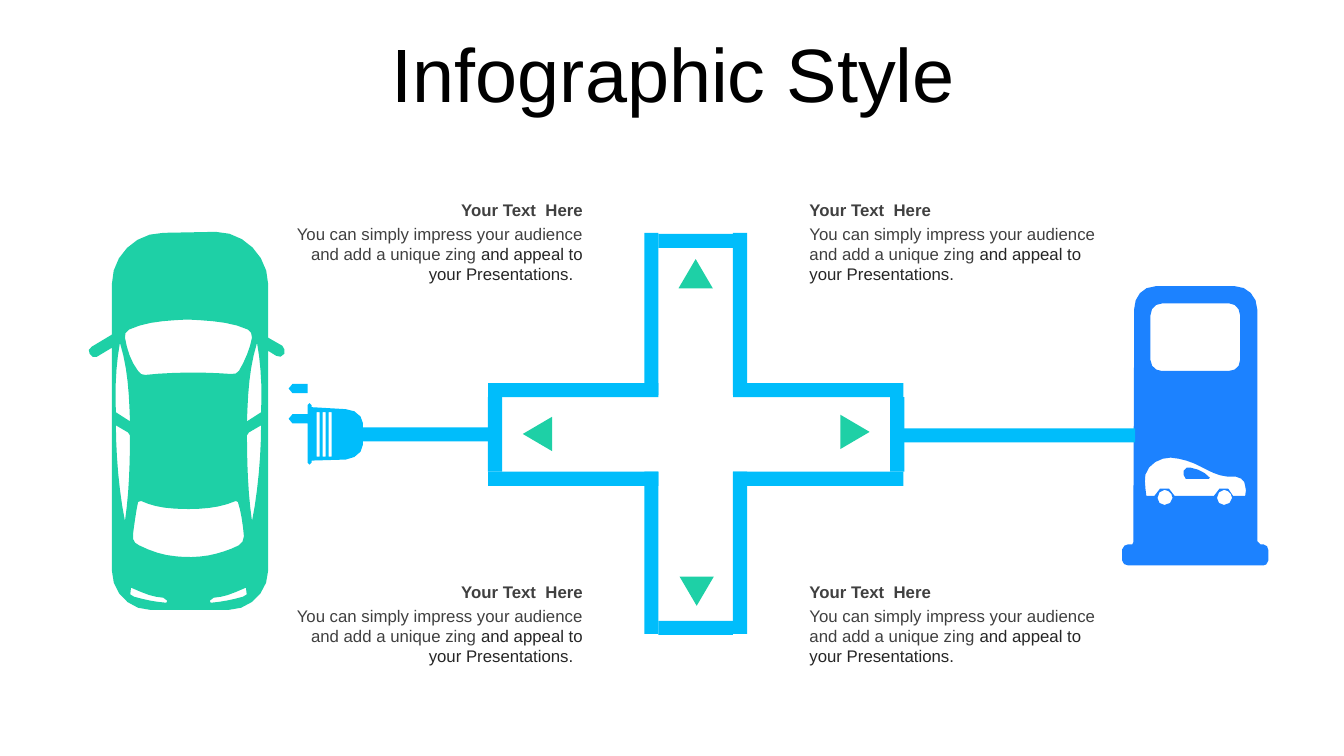
from dataclasses import dataclass
from itertools import product
from math import ceil, dist, sqrt
from typing import NamedTuple

from pptx import Presentation
from pptx.dml.color import RGBColor as Rgb
from pptx.enum.shapes import MSO_SHAPE as Kind
from pptx.enum.text import MSO_ANCHOR as Anchor, MSO_AUTO_SIZE as Fit, PP_ALIGN as Align
from pptx.util import Inches, Pt


@dataclass(frozen=True)
class Theme:
    font: str = "Arial"
    black: str = "000000"
    gray: str = "404040"
    dark: str = "262626"
    sky: str = "00BDFB"
    blue: str = "1C82FF"
    green: str = "1ED0A6"
    title: int = 54
    body: int = 12


class Card(NamedTuple):
    left: float
    top: float
    width: float
    align: Align
    tail: str


class Bar(NamedTuple):
    left: float
    top: float
    width: float
    height: float


class Mark(NamedTuple):
    left: float
    top: float
    turn: int


THEME = Theme()
HEAD = "Your Text  Here"
LEAD = "You can simply impress your audience and add a unique zing "
TAIL = "and appeal to your Presentations."
THICK = 0.14

CARDS = [
    Card(left, top, width, align, tail)
    for (left, width, align, tail), top in product(
        [(2.78, 3.1, Align.RIGHT, TAIL + "  "), (7.93, 3.08, Align.LEFT, TAIL)],
        [1.93, 5.72],
    )
]

BARS = [
    Bar(8.96, 4.25, 2.3, THICK),
    Bar(3.57, 4.24, 1.31, THICK),
    *[Bar(x, y, THICK, 1.61) for x, y in product((6.39, 7.27), (2.31, 4.68))],
    *[Bar(x, y, 1.69, THICK) for x, y in product((4.84, 7.27), (3.8, 4.68))],
    *[Bar(6.53, y, 0.74, THICK) for y in (2.32, 6.16)],
    *[Bar(x, 3.94, THICK, 0.74) for x in (4.84, 8.83)],
]

MARKS = [Mark(6.73, 2.57, 0), Mark(8.31, 4.14, 90), Mark(6.74, 5.72, 180), Mark(5.16, 4.16, 270)]

CAR_BODY = (
    "M 162 231 L 214 230 C 242 230 266 254 266 282 L 266 335 L 280 343 "
    "C 282 345 283 348 282 351 C 280 354 277 355 274 353 L 266 348 L 266 566 "
    "C 266 587 248 605 227 605 L 149 605 C 128 605 111 587 111 566 L 111 345 L 96 354 "
    "C 94 355 90 354 89 351 C 87 349 88 345 91 344 L 111 332 L 111 282 C 111 254 134 231 162 231"
)
CAR_GLASS = [
    "M 236 498 L 234 497 C 220 503 205 505 187 505 C 163 505 151 502 140 497 "
    "L 137 498 C 135 507 133 522 132 530 C 131 535 133 539 138 541 "
    "C 150 547 162 551 175 552 C 185 553 195 553 207 551 C 217 549 227 546 237 541 "
    "C 240 539 242 536 242 532 C 241 520 239 507 236 498",
    "M 186 317 C 165 318 145 319 128 327 C 125 329 123 332 124 335 "
    "C 126 347 130 359 137 368 C 139 371 141 372 144 372 C 171 369 202 369 229 371 "
    "C 233 372 235 370 237 368 C 243 358 248 346 250 335 C 250 331 249 329 246 327 "
    "C 229 319 206 318 186 317",
]
CAR_SIDE = [
    "M 130 583 C 128 590 129 591 133 592 C 144 595 153 597 165 598 L 166 596 "
    "L 162 593 C 151 592 146 590 130 583",
    "M 115 422 C 115 450 118 488 124 517 C 128 490 129 460 129 432 L 127 429 L 115 422",
    "M 119 340 C 115 362 114 385 115 409 L 129 418 C 128 390 127 366 119 340",
]
PLUG = [
    "M 307 400 L 309 402 L 309 404 L 343 406 C 352 406 360 413 360 420 L 360 441 "
    "C 360 449 352 455 343 456 L 309 457 L 309 459 L 307 461 L 305 459 L 305 402 L 307 400",
]
PRONG = "M 290 411 L 305 411 L 305 420 L 290 420 C 285 420 285 411 290 411"
SLOT = "M 314 409 L 317 409 L 317 453 L 314 453 L 314 409"
WHEEL = (
    "M 1155 486 C 1151 486 1148 490 1148 494 C 1148 498 1151 501 1155 501 "
    "C 1159 501 1163 498 1163 494 C 1163 490 1159 486 1155 486"
)
PUMP = [
    "M 1146 284 L 1225 284 C 1237 284 1247 294 1247 307 L 1247 537 L 1250 540 L 1253 540 "
    "C 1256 540 1258 543 1258 546 L 1258 556 C 1257 560 1255 561 1253 561 L 1119 561 "
    "C 1115 561 1114 559 1113 556 L 1113 545 C 1114 542 1116 540 1119 540 L 1123 540 "
    "L 1124 538 L 1125 306 C 1125 295 1133 284 1146 284",
    "M 1153 301 C 1146 301 1141 306 1141 313 L 1141 357 C 1141 364 1147 368 1152 368 L 1219 368 "
    "C 1225 368 1230 364 1230 357 L 1230 313 C 1230 306 1225 301 1219 301 L 1153 301",
    "M 1161 454 C 1151 454 1139 460 1136 471 C 1135 477 1136 485 1137 492 L 1145 492 "
    "C 1147 481 1163 481 1165 492 L 1204 492 C 1206 481 1222 481 1223 492 L 1235 492 "
    "C 1236 488 1236 485 1235 482 C 1235 478 1232 474 1226 473 L 1218 473 "
    "C 1207 472 1199 467 1191 463 C 1182 458 1172 455 1161 454",
    "M 1181 464 C 1188 465 1196 469 1200 474 L 1199 475 L 1176 475 "
    "C 1174 472 1173 470 1174 467 L 1177 464 L 1181 464",
]


def trace(track: str, flip: float = 0, dx: float = 0, dy: float = 0) -> list:
    points = []
    for part in track.replace("M", "L").replace("L", "|L").replace("C", "|C").split("|")[1:]:
        nums = [float(n) / 100 for n in part.split()[1:]]
        pairs = [(flip - x if flip else x + dx, y + dy) for x, y in zip(nums[::2], nums[1::2])]
        if len(pairs) == 1:
            points += pairs
            continue
        curve = [points[-1], *pairs]
        steps = max(2, ceil(6 * sqrt(dist(curve[0], curve[3]))))
        for t in (step / steps for step in range(1, steps + 1)):
            s = 1 - t
            blend = (s**3, 3 * s * s * t, 3 * s * t * t, t**3)
            points.append(tuple(sum(w * p[axis] for w, p in zip(blend, curve)) for axis in (0, 1)))
    return [(Inches(x), Inches(y)) for x, y in points]


def paint(shape, color: str) -> None:
    shape.shadow.inherit = False
    shape.fill.solid()
    shape.fill.fore_color.rgb = Rgb.from_string(color)
    shape.line.fill.background()


def outline(shapes, loops: list, color: str) -> None:
    pen = shapes.build_freeform(*loops[0][0])
    pen.add_line_segments(loops[0][1:-1])
    for loop in loops[1:]:
        pen.move_to(*loop[0])
        pen.add_line_segments(loop[1:-1])
    paint(pen.convert_to_shape(), color)


def style(run, size: int, color: str, bold: bool = False) -> None:
    run.font.name = THEME.font
    run.font.size = Pt(size)
    run.font.bold = bold
    run.font.color.rgb = Rgb.from_string(color)


def write(shapes, card: Card, top: float, height: float, text: str):
    box = shapes.add_textbox(Inches(card.left), Inches(top), Inches(card.width), Inches(height))
    frame = box.text_frame
    frame.word_wrap = True
    frame.auto_size = Fit.SHAPE_TO_FIT_TEXT
    frame.text = text
    frame.paragraphs[0].alignment = card.align
    return frame.paragraphs[0]


def draw_card(slide, card: Card) -> None:
    shapes = slide.shapes.add_group_shape().shapes
    body = write(shapes, card, card.top + 0.24, 0.71, LEAD)
    style(body.runs[0], THEME.body, THEME.gray)
    tail = body.add_run()
    tail.text = card.tail
    style(tail, THEME.body, THEME.dark)
    head = write(shapes, card, card.top, 0.3, HEAD)
    style(head.runs[0], THEME.body, THEME.gray, True)


def draw_title(slide) -> None:
    title = slide.shapes.title
    title.left, title.top, title.width, title.height = map(Inches, (0.35, 0.31, 12.66, 0.92))
    frame = title.text_frame
    frame.text = "Infographic Style"
    frame.vertical_anchor = Anchor.MIDDLE
    frame.auto_size = Fit.NONE
    line = frame.paragraphs[0]
    line.alignment = Align.CENTER
    line.line_spacing = 0.9
    line.space_before = Pt(10)
    style(line.runs[0], THEME.title, THEME.black)


def main() -> None:
    deck = Presentation()
    deck.slide_width, deck.slide_height = Inches(13.33), Inches(7.5)
    slide = deck.slides.add_slide(deck.slide_layouts[5])
    draw_title(slide)
    for card in CARDS:
        draw_card(slide, card)
    wheels = [trace(WHEEL, dx=dx) for dx in (0, 0.59)]
    outline(slide.shapes, [trace(t) for t in PUMP] + wheels, THEME.blue)
    shapes = slide.shapes.add_group_shape().shapes
    for bar in BARS:
        paint(shapes.add_shape(Kind.RECTANGLE, *map(Inches, bar)), THEME.sky)
    for mark in MARKS:
        place = map(Inches, (mark.left, mark.top, 0.34, 0.29))
        arrow = shapes.add_shape(Kind.ISOSCELES_TRIANGLE, *place)
        arrow.rotation = mark.turn
        paint(arrow, THEME.green)
    prongs = [trace(PRONG, dy=dy) for dy in (0, -0.3)]
    slots = [trace(SLOT, dx=0.06 * n) for n in range(3)]
    outline(shapes, [trace(t) for t in PLUG] + prongs + slots, THEME.sky)
    sides = [trace(t, flip=flip) for t, flip in product(CAR_SIDE, (0, 3.74))]
    outline(shapes, [trace(t) for t in [CAR_BODY, *CAR_GLASS]] + sides, THEME.green)
    deck.save("out.pptx")


if __name__ == "__main__":
    main()
